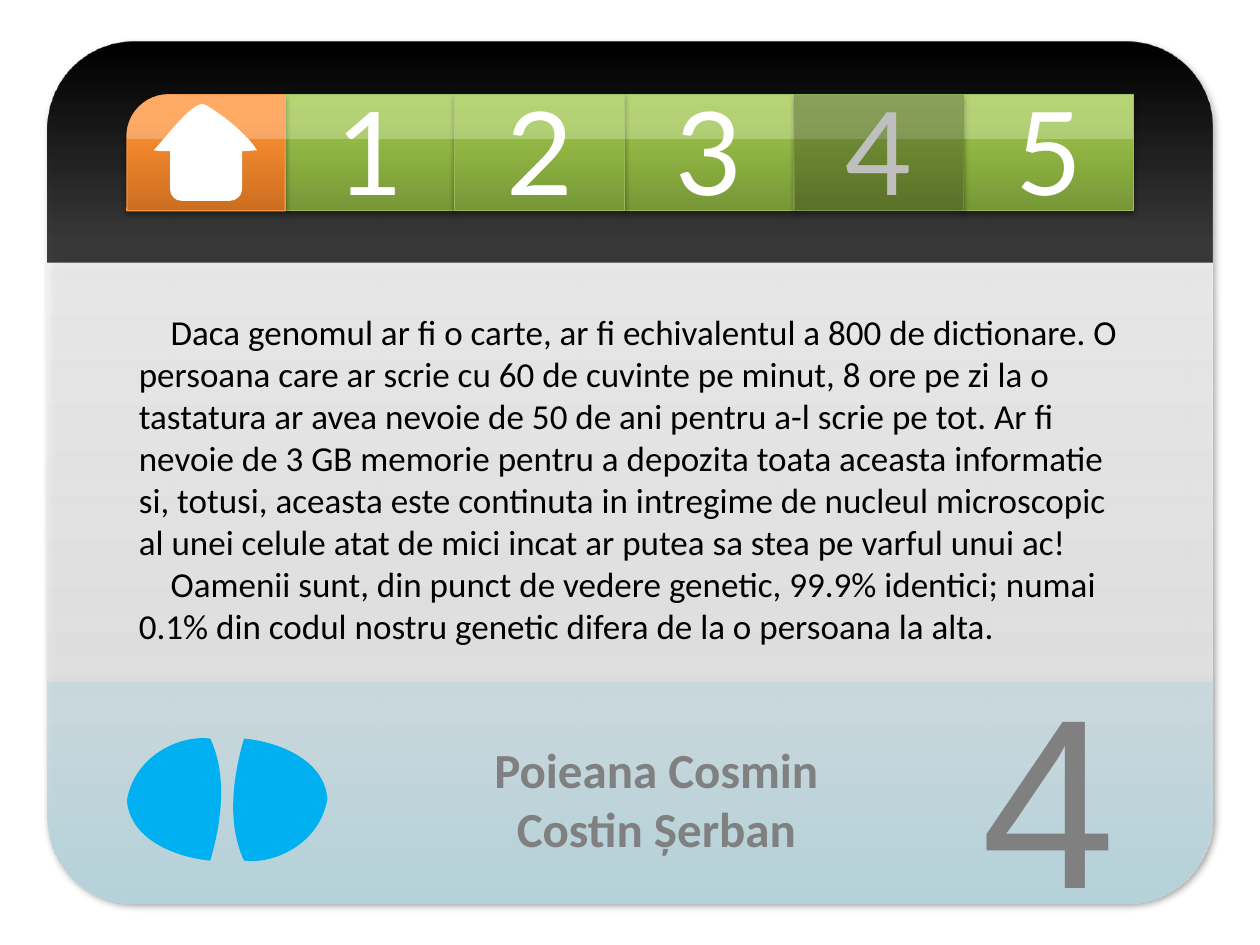
import pptx
import pptx.dml.color
import pptx.enum.shapes
import pptx.enum.text
import pptx.oxml.ns
import pptx.util
from lxml import etree

Cm = pptx.util.Cm
SHAPES = pptx.enum.shapes.MSO_SHAPE
ALIGN = pptx.enum.text.PP_ALIGN
qn = pptx.oxml.ns.qn

COLORS = {
    "white": "FFFFFF", "black": "000000", "silver": "D9D9D9", "aqua": "93CDDD",
    "gray": "808080", "blue": "00B0F0", "green_line": "98B955", "orange_line": "F69240",
}
GREEN = [(0, "779737", 100), (80, "9BC348", 100), (100, "9DC746", 100)]
ORANGE = [(0, "CC6E20", 100), (80, "FF9034", 100), (100, "FF9136", 100)]
CARD_SHADOW = (40, 4, 3, 45)
TAB_SHADOW = (35, 3.1, 1.8, 90)
BODY = [
    "Daca genomul ar fi o carte, ar fi echivalentul a 800 de dictionare. O persoana care ar scrie "
    "cu 60 de cuvinte pe minut, 8 ore pe zi la o tastatura ar avea nevoie de 50 de ani pentru a-l "
    "scrie pe tot. Ar fi nevoie de 3 GB memorie pentru a depozita toata aceasta informatie si, "
    "totusi, aceasta este continuta in intregime de nucleul microscopic al unei celule atat de "
    "mici incat ar putea sa stea pe varful unui ac!",
    "Oamenii sunt, din punct de vedere genetic, 99.9% identici; numai 0.1% din codul nostru "
    "genetic difera de la o persoana la alta.",
]
HOUSE = [
    (1.53, 0.19), (1.66, 0.21, 2.4, 0.74, 2.62, 1.12), (2.32, 1.14), (2.32, 1.91),
    (2.32, 2.03, 2.21, 2.14, 2.07, 2.14), (1.1, 2.14), (0.97, 2.14, 0.87, 2.03, 0.87, 1.91),
    (0.87, 1.14), (0.76, 1.14, 0.64, 1.14, 0.54, 1.12), (0.76, 0.89, 1.3, 0.16, 1.53, 0.19),
]
HOME_GLOSS = [(0.84, 0), (3.19, 0), (3.19, 0.89), (0, 0.89), (0, 0.84), (0, 0.38, 0.38, 0, 0.84, 0)]
LOBE = [
    (1.68, 2.46), (0.94, 2.39, 0.05, 2.01, 0, 1.24), (0.15, 0.36, 1.04, -0.08, 1.68, 0),
    (2.01, 0.71, 1.93, 1.6, 1.68, 2.46),
]


def add_alpha(color_element, alpha):
    """Give a colour element an opacity in percent."""
    if alpha < 100:
        etree.SubElement(color_element, qn("a:alpha"), val=str(alpha * 1000))


def paint(shape, color=None, alpha=100, stops=None, angle=90, line=None, shadow=None):
    """Set the fill, line and shadow of a shape."""
    shape.shadow.inherit = False
    properties = shape.element.spPr
    if stops:
        shape.fill.gradient()
        shape.fill.gradient_angle = angle
        stop_list = properties.find(".//" + qn("a:gsLst"))
        for stop in list(stop_list):
            stop_list.remove(stop)
        for position, stop_color, stop_alpha in stops:
            stop = etree.SubElement(stop_list, qn("a:gs"), pos=str(position * 1000))
            add_alpha(etree.SubElement(stop, qn("a:srgbClr"), val=stop_color), stop_alpha)
    else:
        shape.fill.solid()
        shape.fill.fore_color.rgb = pptx.dml.color.RGBColor.from_string(color)
        add_alpha(properties.find(qn("a:solidFill") + "/" + qn("a:srgbClr")), alpha)
    if line:
        shape.line.color.rgb = pptx.dml.color.RGBColor.from_string(line)
        shape.line.width = pptx.util.Pt(0.75)
    else:
        shape.line.fill.background()
    if shadow:
        opacity, blur, distance, direction = shadow
        outer = etree.SubElement(
            properties.find(qn("a:effectLst")), qn("a:outerShdw"),
            blurRad=str(pptx.util.Pt(blur)), dist=str(pptx.util.Pt(distance)),
            dir=str(direction * 60000), rotWithShape="0")
        add_alpha(etree.SubElement(outer, qn("a:srgbClr"), val=COLORS["black"]), opacity)


def add_preset(parent, kind, left, top, width, height, adjustments=(), **style):
    """Add a painted preset shape to a slide or group."""
    shape = parent.shapes.add_shape(kind, Cm(left), Cm(top), Cm(width), Cm(height))
    for index, value in enumerate(adjustments):
        shape.adjustments[index] = value
    paint(shape, **style)
    return shape


def add_outline(parent, left, top, path, **style):
    """Add a closed outline of lines (two numbers) and Bezier curves (six numbers)."""
    points = [(Cm(left + step[index]), Cm(top + step[index + 1]))
              for step in path for index in range(0, len(step), 2)]
    builder = parent.shapes.build_freeform(*points[0])
    builder.add_line_segments(points[1:], close=True)
    shape = builder.convert_to_shape()
    segments = iter(list(shape.element.spPr.iter(qn("a:lnTo"))))
    for step in path[1:]:
        segment = next(segments)
        if len(step) == 6:
            curve = etree.Element(qn("a:cubicBezTo"))
            segment.addprevious(curve)
            for control in (segment, next(segments), next(segments)):
                curve.append(control[0])
                control.getparent().remove(control)
    paint(shape, **style)


def add_text(parent, left, top, width, height, lines, size, color, font="Calibri",
             bold=False, align=ALIGN.LEFT, indent=0):
    """Add a text box with one paragraph for each line."""
    box = parent.shapes.add_textbox(Cm(left), Cm(top), Cm(width), Cm(height))
    frame = box.text_frame
    frame.word_wrap = True
    frame.auto_size = pptx.enum.text.MSO_AUTO_SIZE.SHAPE_TO_FIT_TEXT
    for index, line in enumerate(lines):
        paragraph = frame.add_paragraph() if index else frame.paragraphs[0]
        paragraph.alignment = align
        if indent:
            paragraph._p.get_or_add_pPr().set("indent", str(Cm(indent)))
        run = paragraph.add_run()
        run.text = line
        run.font.name = font
        run.font.size = pptx.util.Pt(size)
        run.font.bold = bold
        run.font.color.rgb = pptx.dml.color.RGBColor.from_string(color)


def add_card(slide, left, top, width, height, band):
    """Draw the rounded card with its blue footer band and dark header band."""
    card = slide.shapes.add_group_shape()
    add_preset(card, SHAPES.ROUNDED_RECTANGLE, left, top, width, height, [0.1], angle=270,
               stops=[(0, COLORS["white"], 75), (100, COLORS["silver"], 100)], shadow=CARD_SHADOW)
    radius = 0.1 * height
    arm = 0.45 * radius
    footer = [
        (0, 0), (width, 0), (width, band - radius),
        (width, band - arm, width - arm, band, width - radius, band),
        (radius, band), (arm, band, 0, band - arm, 0, band - radius),
    ]
    header = [tuple(band - value if index % 2 else width - value
                    for index, value in enumerate(step)) for step in footer]
    add_outline(card, left, top + height - band, footer,
                stops=[(0, COLORS["aqua"], 50), (90, COLORS["aqua"], 25)])
    add_outline(card, left, top, header, angle=270,
                stops=[(0, COLORS["black"], 100), (90, COLORS["black"], 75)])


def add_navigation(slide, left, top, width, height, current):
    """Draw the home button and five numbered tabs, darkening the current one."""
    home, gloss = 3.19, 0.89
    tab = (width - home) / 5
    lefts = {number: left + home + (number - 1) * tab for number in range(1, 6)}
    bar = slide.shapes.add_group_shape()
    for number in (1, 3, 2, 5, 4):
        add_preset(bar, SHAPES.RECTANGLE, lefts[number], top, tab, height,
                   stops=GREEN, line=COLORS["green_line"], shadow=TAB_SHADOW)
    button = add_preset(bar, SHAPES.ROUND_1_RECTANGLE, left, top, home, height, [0.36],
                        stops=ORANGE, line=COLORS["orange_line"], shadow=TAB_SHADOW)
    button.element.spPr.find(qn("a:xfrm")).set("flipH", "1")
    add_outline(bar, left, top, HOUSE, color=COLORS["white"])
    for number in reversed(lefts):
        add_text(bar, lefts[number], top - 0.43, tab, 3.07, [str(number)], 66,
                 COLORS["white"], font="Lato", align=ALIGN.CENTER)
    shine = slide.shapes.add_group_shape()
    add_outline(shine, left, top, HOME_GLOSS, color=COLORS["white"], alpha=25)
    for tab_left in lefts.values():
        add_preset(shine, SHAPES.RECTANGLE, tab_left, top, tab, gloss,
                   color=COLORS["white"], alpha=25)
    add_preset(slide, SHAPES.RECTANGLE, lefts[current], top, tab, height,
               color=COLORS["black"], alpha=25)


def add_footer(slide, left, top, authors, number):
    """Place the authors, the large number and the two lobes in the footer."""
    add_text(slide, left + 8.57, top + 1.03, 7.42, 2.64, authors, 28, COLORS["gray"],
             bold=True, align=ALIGN.CENTER)
    add_text(slide, left + 18.07, top - 0.85, 4.24, 6.15, [str(number)], 138, COLORS["gray"],
             font="Arial", align=ALIGN.CENTER)
    mirrored = [tuple((2.46 if index % 2 else 4.04) - value for index, value in enumerate(step))
                for step in LOBE]
    lobes = slide.shapes.add_group_shape()
    for path in (LOBE, mirrored):
        add_outline(lobes, left + 1.61, top + 1.13, path, color=COLORS["blue"])


def main():
    """Build and save the slide."""
    presentation = pptx.Presentation()
    presentation.slide_width, presentation.slide_height = Cm(25.4), Cm(19.05)
    slide = presentation.slides.add_slide(presentation.slide_layouts[6])
    add_card(slide, 0.95, 0.85, 23.5, 17.36, 4.44)
    add_footer(slide, 0.95, 13.76, ["Poieana Cosmin", "Costin Șerban"], 4)
    add_text(slide, 2.55, 6.13, 20.3, 7.09, BODY, 20, COLORS["black"], indent=0.64)
    add_navigation(slide, 2.56, 1.91, 20.29, 2.34, 4)
    presentation.save("out.pptx")


if __name__ == "__main__":
    main()
